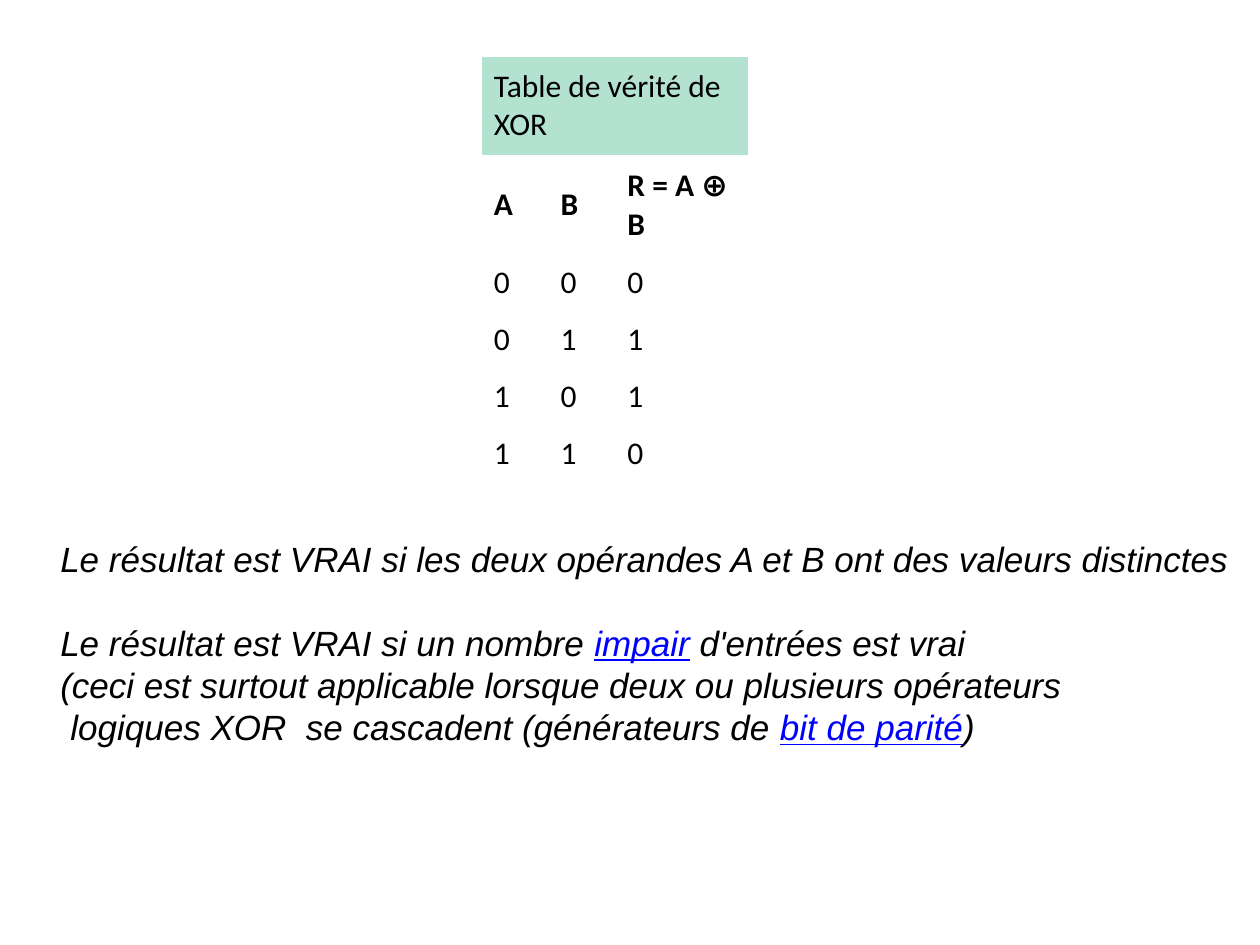
from pptx import Presentation
from pptx.dml.color import RGBColor
from pptx.enum import text
from pptx.util import Inches, Pt

BLACK = RGBColor(0x00, 0x00, 0x00)
BLUE = RGBColor(0x00, 0x00, 0xFF)
MINT = RGBColor(0xB3, 0xE2, 0xD1)


class TruthSlide:
    """Hold the style and the current slide, and add its elements."""

    def __init__(self, deck):
        self.width, self.height = deck.slide_width, deck.slide_height
        self.page = deck.slides.add_slide(deck.slide_layouts[6])

    def place(self, left, top, width, height):
        return (round(left * self.width), round(top * self.height),
                round(width * self.width), round(height * self.height))

    def style(self, span, font, size, color=BLACK, bold=False, italic=False):
        span.font.name, span.font.size = font, Pt(size)
        span.font.bold, span.font.italic = bold, italic
        span.font.color.rgb = color

    def truth_table(self, area, title, header, rows, widths, heights):
        content = [[title, "", ""], header] + rows
        table = self.page.shapes.add_table(
            len(content), len(header), *self.place(*area)).table
        table.first_row = table.horz_banding = False
        for column, width in zip(table.columns, widths):
            column.width = Inches(width)
        for row, height in zip(table.rows, heights):
            row.height = Inches(height)
        table.cell(0, 0).merge(table.cell(0, len(header) - 1))
        for r, values in enumerate(content):
            for c, value in enumerate(values):
                cell = table.cell(r, c)
                cell.vertical_anchor = text.MSO_ANCHOR.MIDDLE
                if r == 0:
                    cell.fill.solid()
                    cell.fill.fore_color.rgb = MINT
                else:
                    cell.fill.background()
                if value:
                    cell.text_frame.text = value
                    span = cell.text_frame.paragraphs[0].runs[0]
                    self.style(span, "Calibri", 18, bold=r == 1)

    def remarks(self, area, lines):
        frame = self.page.shapes.add_textbox(*self.place(*area)).text_frame
        frame.word_wrap = True
        frame.vertical_anchor = text.MSO_ANCHOR.MIDDLE
        for number, (indent, gap, parts) in enumerate(lines):
            para = frame.paragraphs[0] if number == 0 else frame.add_paragraph()
            para.line_spacing, para.space_before = Pt(24), Pt(gap)
            para._p.get_or_add_pPr().set("marL", str(Inches(indent)))
            for position, part in enumerate(parts):
                linked = position % 2 == 1
                span = para.add_run()
                span.text = part
                self.style(span, "Arial", 20, BLUE if linked else BLACK, italic=True)
                span.font.underline = linked


def main():
    deck = Presentation()
    deck.slide_width, deck.slide_height = Inches(10), Inches(7.5)
    slide = TruthSlide(deck)
    slide.truth_table(
        (0.382, 0.059, 0.213, 0.452),
        "Table de vérité de XOR",
        ["A", "B", "R = A ⊕ B"],
        [[str(a), str(b), str(a ^ b)] for a in (0, 1) for b in (0, 1)],
        widths=[0.53, 0.53, 1.06],
        heights=[0.79] * 2 + [0.45] * 4)
    slide.remarks((-0.012, 0.516, 1.005, 0.328), [
        (0.5, 0, ["Le résultat est VRAI si les deux opérandes A et B ont des valeurs distinctes"]),
        (0.5, 24, ["Le résultat est VRAI si un nombre ", "impair", " d'entrées est vrai"]),
        (0.5, 0, ["(ceci est surtout applicable lorsque deux ou plusieurs opérateurs"]),
        (0.58, 0, ["logiques XOR  se cascadent (générateurs de ", "bit de parité", ")"]),
    ])
    deck.save("out.pptx")


if __name__ == "__main__":
    main()
